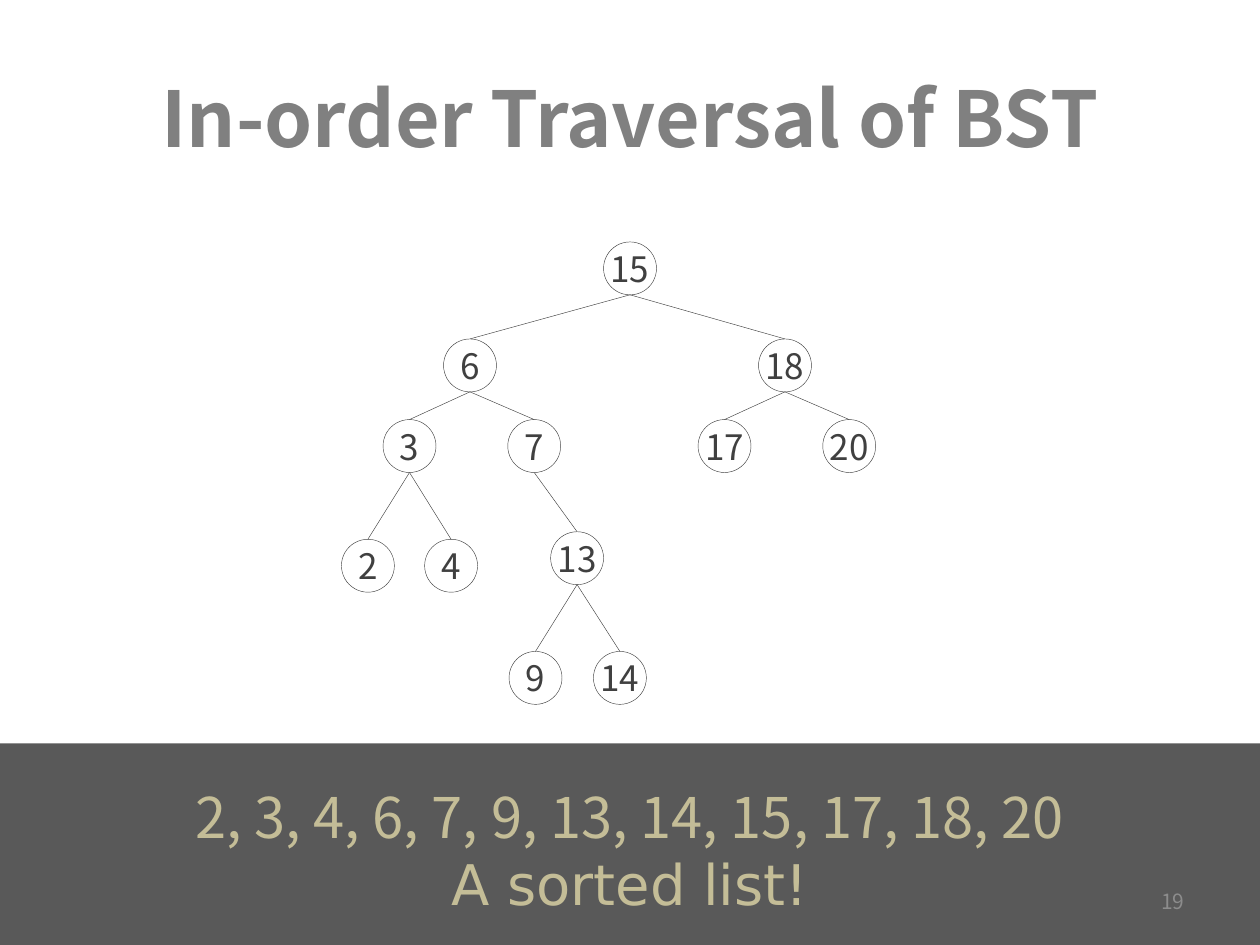
from lxml import etree
from pptx import Presentation
from pptx.dml.color import RGBColor
from pptx.enum.shapes import MSO_CONNECTOR, MSO_SHAPE
from pptx.enum.text import MSO_ANCHOR, PP_ALIGN
from pptx.oxml.ns import qn
from pptx.util import Inches, Pt

STRAIGHT = MSO_CONNECTOR.STRAIGHT
OVAL, RECT = MSO_SHAPE.OVAL, MSO_SHAPE.RECTANGLE
MIDDLE = MSO_ANCHOR.MIDDLE
CENTER, RIGHT = PP_ALIGN.CENTER, PP_ALIGN.RIGHT

WIDTH, HEIGHT = 10, 7.5
FONT, NOTE_FONT = "Noto Sans CJK SC", "DejaVu Sans"
INK = RGBColor(0x40, 0x40, 0x40)
TITLE_GRAY = RGBColor(0x80, 0x80, 0x80)
NUMBER_GRAY = RGBColor(0x8C, 0x8C, 0x8C)
BAND_GRAY = RGBColor(0x59, 0x59, 0x59)
SAND = RGBColor(0xC4, 0xBD, 0x97)

DIAMETER = 0.42
HAIRLINE = Pt(0.25)
# key: (parent key, centre x, top y)
TREE = {
    15: (None, 5, 1.92),
    6: (15, 3.73, 2.69),
    18: (15, 6.23, 2.69),
    3: (6, 3.25, 3.33),
    7: (6, 4.24, 3.33),
    17: (18, 5.75, 3.33),
    20: (18, 6.74, 3.33),
    2: (3, 2.92, 4.28),
    4: (3, 3.58, 4.28),
    13: (7, 4.58, 4.22),
    9: (13, 4.25, 5.17),
    14: (13, 4.92, 5.17),
}


def box(x, y, w, h):
    return [Inches(v) for v in (x, y, w, h)]


def write(shape, text, size, color, align=CENTER, bold=False, wrap=True):
    tf = shape.text_frame
    tf.text = text
    tf.word_wrap = wrap
    tf.vertical_anchor = MIDDLE
    for p in tf.paragraphs:
        p.alignment = align
        for r in p.runs:
            r.font.name = FONT
            r.font.size = Pt(size)
            r.font.bold = bold
            r.font.color.rgb = color
    return tf


def add_title(s, text):
    title = s.shapes.title
    title.left, title.top, title.width, title.height = box(0.5, 0.3, 9, 1.25)
    write(title, text, 44, TITLE_GRAY, bold=True)


def add_edge(s, parent, child):
    """Join the bottom of the parent's circle to the top of the child's."""
    _, x1, y1 = TREE[parent]
    _, x2, y2 = TREE[child]
    edge = s.shapes.add_connector(STRAIGHT, *box(x1, y1 + DIAMETER, x2, y2))
    edge.line.color.rgb = INK
    edge.line.width = HAIRLINE
    etree.SubElement(edge._element.spPr, qn("a:effectLst"))


def add_node(s, key):
    _, x, y = TREE[key]
    node = s.shapes.add_shape(OVAL, *box(x - DIAMETER / 2, y, DIAMETER, DIAMETER))
    node.shadow.inherit = False
    node.fill.background()
    node.line.color.rgb = INK
    node.line.width = HAIRLINE
    write(node, str(key), 20, INK, wrap=False)


def add_result_band(s, keys, note):
    band = s.shapes.add_shape(RECT, *box(0, 5.9, WIDTH, 1.68))
    band.shadow.inherit = False
    band.fill.solid()
    band.fill.fore_color.rgb = BAND_GRAY
    band.line.fill.background()
    tf = write(band, f"{keys}\n{note}", 32, SAND, wrap=False)
    tf.paragraphs[1].runs[0].font.name = NOTE_FONT


def add_slide_number(s, number):
    tb = s.shapes.add_textbox(*box(7.17, 6.95, 2.33, 0.4))
    write(tb, number, 12, NUMBER_GRAY, align=RIGHT)


def main():
    prs = Presentation()
    prs.slide_width, prs.slide_height = Inches(WIDTH), Inches(HEIGHT)
    s = prs.slides.add_slide(prs.slide_layouts[5])
    add_title(s, "In-order Traversal of BST")
    for key, (parent, _, _) in TREE.items():
        if parent is not None:
            add_edge(s, parent, key)
        add_node(s, key)
    add_result_band(s, "2, 3, 4, 6, 7, 9, 13, 14, 15, 17, 18, 20", "A sorted list!")
    add_slide_number(s, "19")
    prs.save("out.pptx")


if __name__ == "__main__":
    main()
